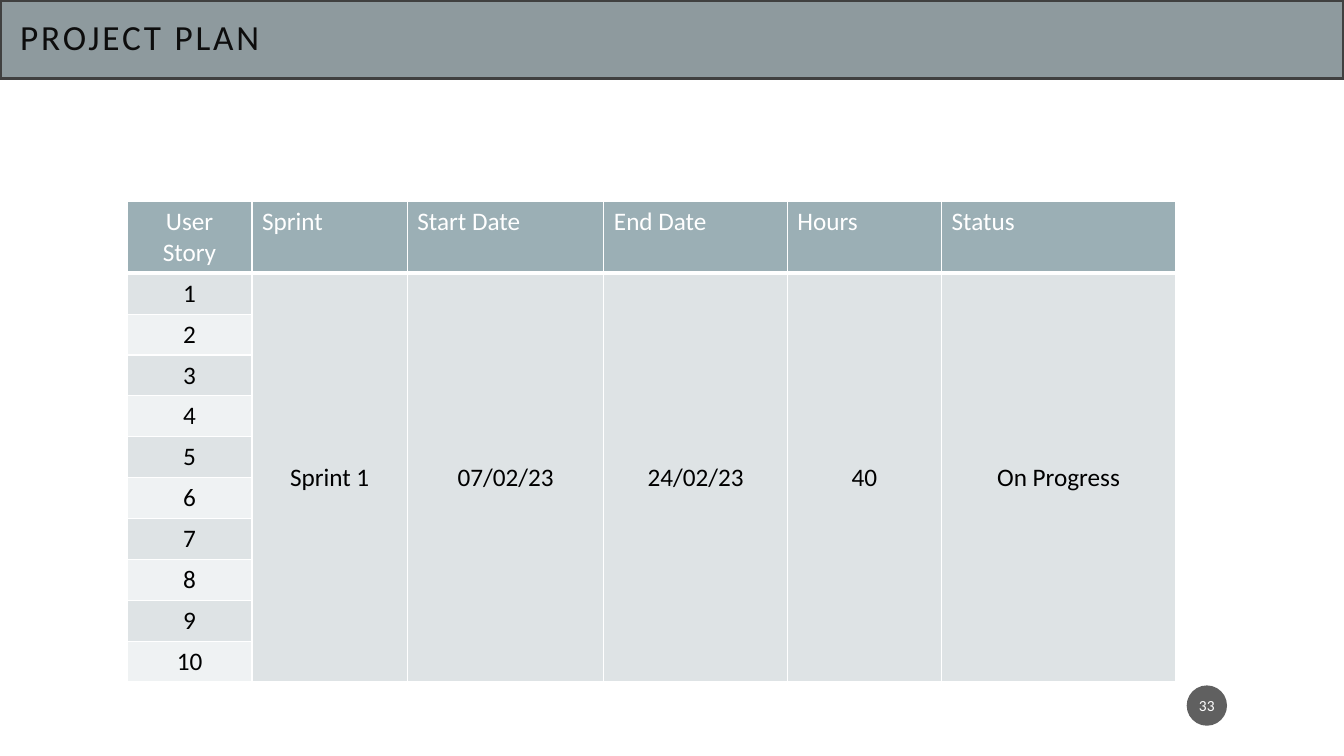
from dataclasses import dataclass

import lxml.etree
import pptx
import pptx.dml.color
import pptx.enum.shapes
import pptx.enum.text
import pptx.oxml.ns
import pptx.slide
import pptx.table
import pptx.text.text
import pptx.util

Inches = pptx.util.Inches
Pt = pptx.util.Pt
RGBColor = pptx.dml.color.RGBColor
Align = pptx.enum.text.PP_ALIGN
Anchor = pptx.enum.text.MSO_ANCHOR
qn = pptx.oxml.ns.qn

WHITE = RGBColor(0xFF, 0xFF, 0xFF)
BLACK = RGBColor(0x00, 0x00, 0x00)
TITLE_TEXT = RGBColor(0x0D, 0x0D, 0x0D)
TITLE_FILL = RGBColor(0x8E, 0x9A, 0x9E)
TITLE_LINE = RGBColor(0x40, 0x40, 0x40)
BADGE_FILL = RGBColor(0x1D, 0x1D, 0x1D)
HEADER_FILL = RGBColor(0x9B, 0xAF, 0xB5)
ODD_FILL = RGBColor(0xDE, 0xE3, 0xE5)
EVEN_FILL = RGBColor(0xEF, 0xF2, 0xF3)

FONT = "Calibri"
STORY_COUNT = 10
HEADER_HEIGHT = 0.7
STORY_HEIGHT = 0.4


@dataclass
class Column:
    heading: str
    width: float
    value: str = ""


COLUMNS = [
    Column("User Story", 1.24),
    Column("Sprint", 1.54, "Sprint 1"),
    Column("Start Date", 1.95, "07/02/23"),
    Column("End Date", 1.82, "24/02/23"),
    Column("Hours", 1.53, "40"),
    Column("Status", 2.32, "On Progress"),
]


def write_text(
    frame: pptx.text.text.TextFrame,
    text: str,
    *,
    size: float = 18,
    color: RGBColor = BLACK,
    align: Align = Align.CENTER,
    spacing: float = 0,
) -> None:
    paragraph = frame.paragraphs[0]
    paragraph.alignment = align
    run = paragraph.add_run()
    run.text = text
    run.font.name = FONT
    run.font.size = Pt(size)
    run.font.color.rgb = color
    if spacing:
        run.font._element.set("spc", str(int(spacing * 100)))


def set_insets(frame: pptx.text.text.TextFrame, side: float, top: float) -> None:
    frame.margin_left = frame.margin_right = Inches(side)
    frame.margin_top = frame.margin_bottom = Inches(top)
    frame.vertical_anchor = Anchor.MIDDLE


def set_border(cell: pptx.table._Cell, side: str, width: float) -> None:
    properties = cell._tc.get_or_add_tcPr()
    line = lxml.etree.SubElement(properties, qn(f"a:ln{side}"), w=str(Pt(width)))
    fill = lxml.etree.SubElement(line, qn("a:solidFill"))
    lxml.etree.SubElement(fill, qn("a:srgbClr"), val=str(WHITE))


def add_title(slide: pptx.slide.Slide) -> None:
    title = slide.shapes.title
    title.left, title.top = Inches(0), Inches(0)
    title.width, title.height = Inches(13.33), Inches(0.78)
    title.fill.solid()
    title.fill.fore_color.rgb = TITLE_FILL
    title.line.color.rgb = TITLE_LINE
    title.line.width = Pt(2.5)
    frame = title.text_frame
    frame.auto_size = pptx.enum.text.MSO_AUTO_SIZE.NONE
    set_insets(frame, 0.2, 0.2)
    frame.paragraphs[0].line_spacing = 0.9
    write_text(frame, "PROJECT PLAN", size=25.2, color=TITLE_TEXT,
               align=Align.LEFT, spacing=2)


def add_page_badge(slide: pptx.slide.Slide) -> None:
    badge = slide.shapes.add_shape(
        pptx.enum.shapes.MSO_SHAPE.OVAL,
        Inches(11.77), Inches(6.8), Inches(0.4), Inches(0.4),
    )
    badge.shadow.inherit = False
    badge.fill.solid()
    badge.fill.fore_color.rgb = BADGE_FILL
    badge.line.fill.background()
    color = badge._element.spPr.find(f".//{qn('a:srgbClr')}")
    lxml.etree.SubElement(color, qn("a:alpha"), val="70000")
    set_insets(badge.text_frame, 0.02, 0.05)
    write_text(badge.text_frame, "33", size=11, color=WHITE)


def add_plan_table(slide: pptx.slide.Slide) -> None:
    width = sum(column.width for column in COLUMNS)
    height = HEADER_HEIGHT + STORY_COUNT * STORY_HEIGHT
    table = slide.shapes.add_table(
        STORY_COUNT + 1, len(COLUMNS),
        Inches(1.26), Inches(2), Inches(width), Inches(height),
    ).table
    for index, row in enumerate(table.rows):
        row.height = Inches(STORY_HEIGHT if index else HEADER_HEIGHT)
        for position, cell in enumerate(row.cells):
            for side in "LRTB":
                thick = (index, side) in ((0, "B"), (1, "T"))
                set_border(cell, side, 3 if thick else 1)
            cell.fill.solid()
            if index == 0:
                cell.fill.fore_color.rgb = HEADER_FILL
            else:
                striped = position == 0 and index % 2 == 0
                cell.fill.fore_color.rgb = EVEN_FILL if striped else ODD_FILL
            if index and position == 0:
                write_text(cell.text_frame, str(index))
    for position, column in enumerate(COLUMNS):
        table.columns[position].width = Inches(column.width)
        write_text(table.cell(0, position).text_frame, column.heading, color=WHITE,
                   align=Align.LEFT if position else Align.CENTER)
        if column.value:
            cell = table.cell(1, position)
            cell.merge(table.cell(STORY_COUNT, position))
            cell.vertical_anchor = Anchor.MIDDLE
            write_text(cell.text_frame, column.value)


def main() -> None:
    presentation = pptx.Presentation()
    presentation.slide_width = Inches(13.33)
    presentation.slide_height = Inches(7.5)
    slide = presentation.slides.add_slide(presentation.slide_layouts[5])
    add_title(slide)
    add_page_badge(slide)
    add_plan_table(slide)
    presentation.save("out.pptx")


if __name__ == "__main__":
    main()
